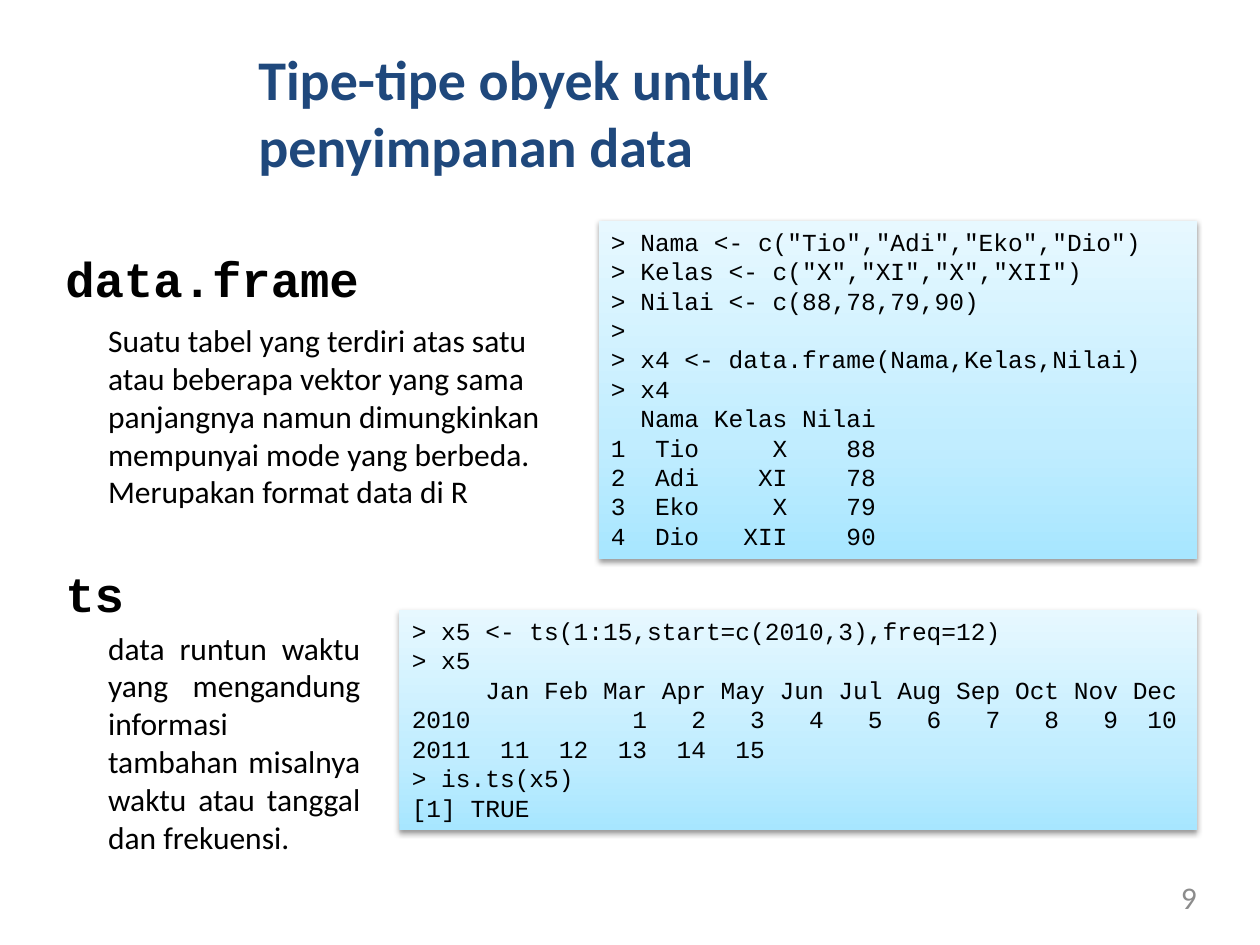
from dataclasses import dataclass, field

from lxml.etree import SubElement
from pptx import Presentation
from pptx.dml.color import RGBColor
from pptx.enum.shapes import MSO_SHAPE
from pptx.enum.text import MSO_ANCHOR, MSO_AUTO_SIZE, PP_ALIGN
from pptx.oxml.ns import qn
from pptx.shapes.autoshape import Shape
from pptx.slide import Slide
from pptx.util import Inches, Pt

PANEL_STOPS = ((0, "A7E6FF"), (35, "C1EDFF"), (100, "E7F8FF"))
TITLE_FORMAT = {"name": "Calibri", "size": Pt(32), "bold": True}
HEADING_FORMAT = {"name": "Courier New", "size": Pt(28), "bold": True}
BODY_FORMAT = {"name": "Calibri", "size": Pt(18)}
CODE_FORMAT = {"name": "Courier New", "size": Pt(14)}
FLUSH = {"margin_left": 0, "margin_top": 0, "margin_right": 0, "margin_bottom": 0}


@dataclass
class TextBlock:
    left: float
    top: float
    width: float
    height: float
    text: str
    font: dict
    color: str = "000000"
    alignment: PP_ALIGN = PP_ALIGN.LEFT
    frame: dict = field(default_factory=dict)


TITLE = TextBlock(2.05, 0.35, 5.89, 1.08, "Tipe-tipe obyek untuk penyimpanan data",
                  TITLE_FORMAT, "1F487C", frame=FLUSH)

TEXT_BLOCKS = (
    TextBlock(0.42, 1.92, 2.55, 0.57, "data.frame", HEADING_FORMAT,
              frame={"word_wrap": False}),
    TextBlock(0.76, 2.5, 3.74, 1.62,
              "Suatu tabel yang terdiri atas satu atau beberapa vektor yang sama "
              "panjangnya namun dimungkinkan mempunyai mode yang berbeda. "
              "Merupakan format data di R", BODY_FORMAT),
    TextBlock(0.42, 4.42, 0.67, 0.57, "ts", HEADING_FORMAT,
              frame={"word_wrap": False}),
    TextBlock(0.76, 4.94, 2.2, 1.92,
              "data runtun waktu yang mengandung informasi tambahan misalnya "
              "waktu atau tanggal dan frekuensi.", BODY_FORMAT,
              alignment=PP_ALIGN.JUSTIFY),
    TextBlock(7.2, 6.97, 2.3, 0.27, "9", BODY_FORMAT, "8C8C8C",
              PP_ALIGN.RIGHT, FLUSH),
)

DATA_FRAME_CODE = """> Nama <- c("Tio","Adi","Eko","Dio")
> Kelas <- c("X","XI","X","XII")
> Nilai <- c(88,78,79,90)
>
> x4 <- data.frame(Nama,Kelas,Nilai)
> x4
  Nama Kelas Nilai
1  Tio     X    88
2  Adi    XI    78
3  Eko     X    79
4  Dio   XII    90"""

TIME_SERIES_CODE = """> x5 <- ts(1:15,start=c(2010,3),freq=12)
> x5
     Jan Feb Mar Apr May Jun Jul Aug Sep Oct Nov Dec
2010           1   2   3   4   5   6   7   8   9  10
2011  11  12  13  14  15
> is.ts(x5)
[1] TRUE"""

CODE_PANELS = (
    TextBlock(4.75, 1.75, 4.75, 2.69, DATA_FRAME_CODE, CODE_FORMAT),
    TextBlock(3.17, 4.84, 6.33, 1.75, TIME_SERIES_CODE, CODE_FORMAT),
)


def rgb(value: str) -> RGBColor:
    return RGBColor.from_string(value)


def set_attributes(target: object, values: dict) -> None:
    for name, value in values.items():
        setattr(target, name, value)


def bounds(block: TextBlock) -> tuple:
    return tuple(Inches(length) for length in
                 (block.left, block.top, block.width, block.height))


def write_text(shape: Shape, block: TextBlock) -> None:
    frame = shape.text_frame
    frame.text = block.text
    set_attributes(frame, {"word_wrap": True, "auto_size": MSO_AUTO_SIZE.NONE,
                           "vertical_anchor": MSO_ANCHOR.TOP, **block.frame})
    for paragraph in frame.paragraphs:
        paragraph.alignment = block.alignment
        for run in paragraph.runs:
            set_attributes(run.font, block.font)
            run.font.color.rgb = rgb(block.color)


def add_title(slide: Slide, block: TextBlock) -> None:
    title = slide.shapes.title
    set_attributes(title, dict(zip(("left", "top", "width", "height"), bounds(block))))
    write_text(title, block)


def add_text(slide: Slide, block: TextBlock) -> None:
    write_text(slide.shapes.add_textbox(*bounds(block)), block)


def add_color(parent: object, color: str) -> object:
    return SubElement(parent, qn("a:srgbClr"), val=color)


def fill_with_gradient(shape: Shape) -> None:
    shape.fill.gradient()
    shape.fill.gradient_angle = 90
    stops = shape.fill._xPr.find(qn("a:gradFill")).find(qn("a:gsLst"))
    for stop in list(stops):
        stops.remove(stop)
    for position, color in PANEL_STOPS:
        add_color(SubElement(stops, qn("a:gs"), pos=str(position * 1000)), color)


def add_shadow(shape: Shape) -> None:
    shape.shadow.inherit = False
    effects = shape.fill._xPr.find(qn("a:effectLst"))
    shadow = SubElement(effects, qn("a:outerShdw"), blurRad=str(Pt(3.1)),
                        dist=str(Pt(1.6)), dir="5400000", rotWithShape="0")
    SubElement(add_color(shadow, "000000"), qn("a:alpha"), val="38000")


def add_code_panel(slide: Slide, block: TextBlock) -> None:
    panel = slide.shapes.add_shape(MSO_SHAPE.RECTANGLE, *bounds(block))
    fill_with_gradient(panel)
    panel.line.fill.background()
    add_shadow(panel)
    write_text(panel, block)


def main() -> None:
    presentation = Presentation()
    presentation.slide_width = Inches(10)
    presentation.slide_height = Inches(7.5)
    slide = presentation.slides.add_slide(presentation.slide_layouts.get_by_name("Title Only"))
    add_title(slide, TITLE)
    for block in TEXT_BLOCKS:
        add_text(slide, block)
    for block in CODE_PANELS:
        add_code_panel(slide, block)
    presentation.save("out.pptx")


if __name__ == "__main__":
    main()
